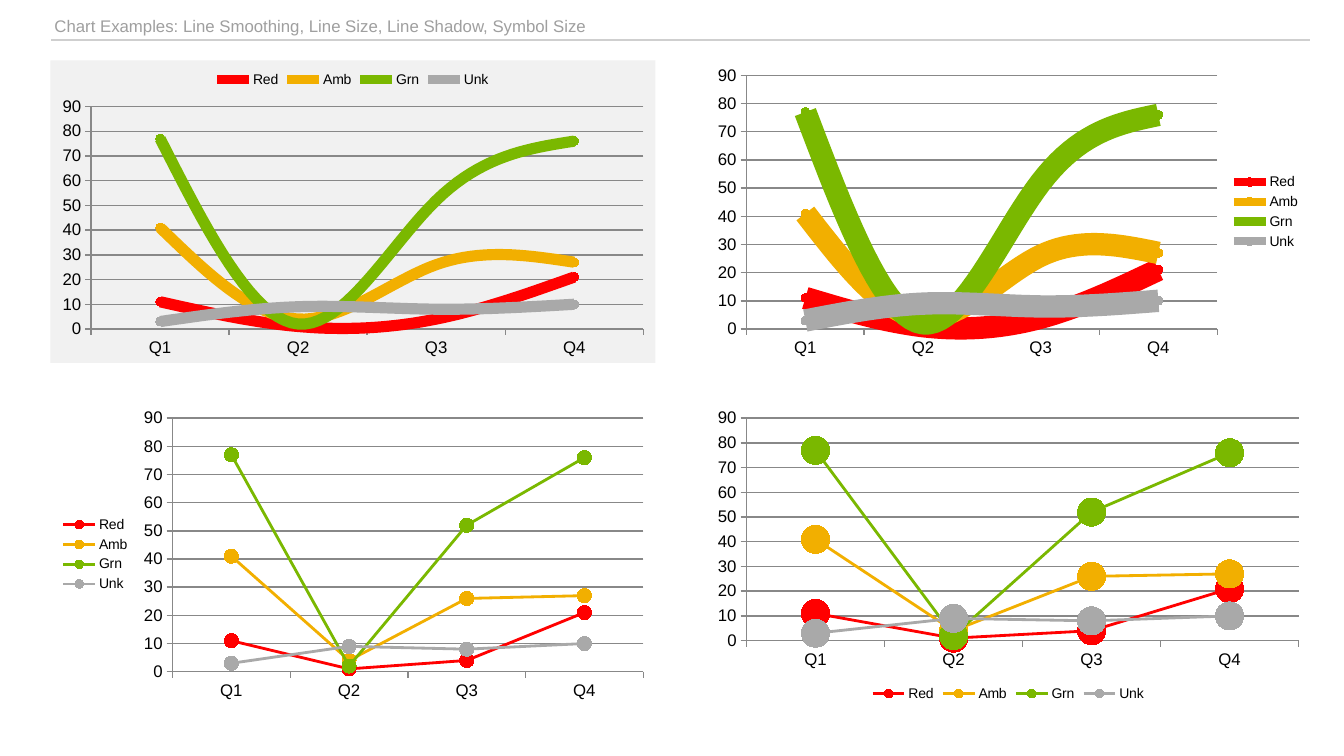
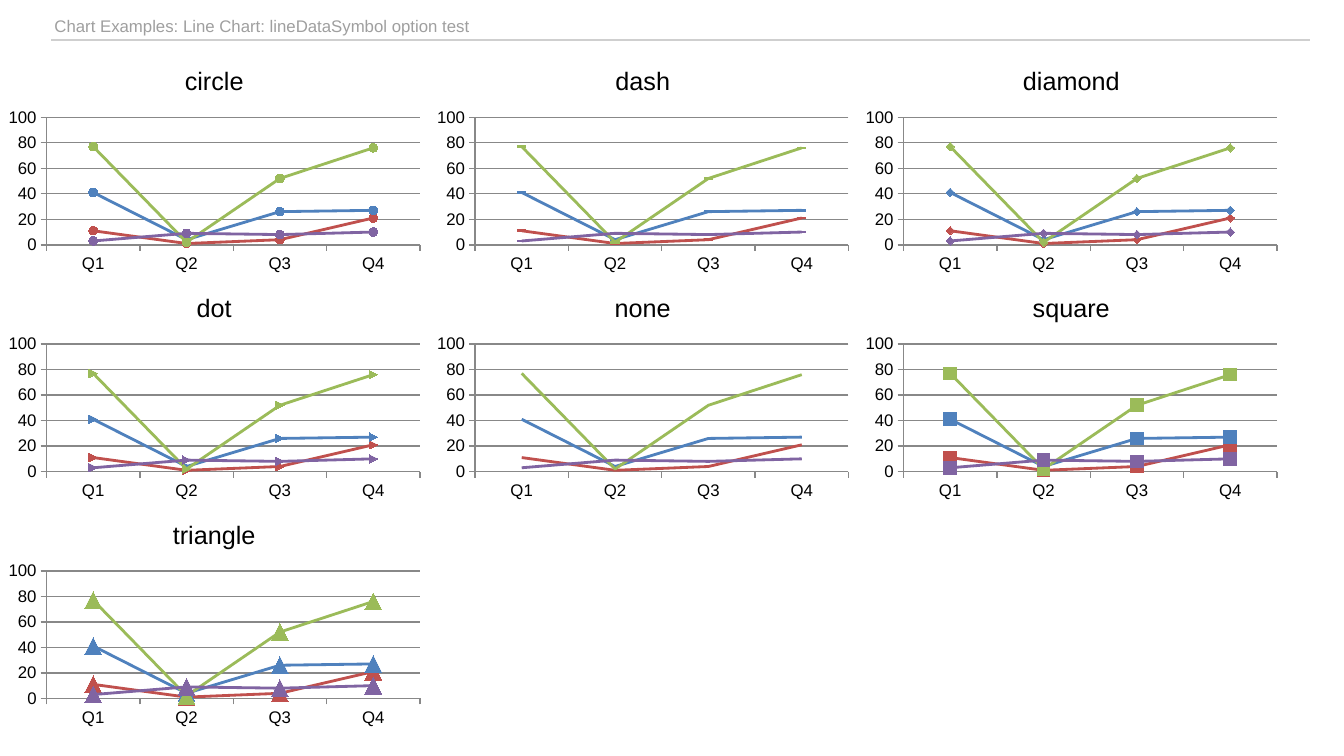
from dataclasses import dataclass

from lxml.etree import SubElement
from pptx import Presentation
from pptx.chart.data import CategoryChartData
from pptx.dml.color import RGBColor
from pptx.enum.chart import (
    XL_CHART_TYPE as ChartType,
    XL_LEGEND_POSITION as LegendPosition,
    XL_MARKER_STYLE as MarkerStyle,
    XL_TICK_LABEL_POSITION as LabelPosition,
    XL_TICK_MARK as TickMark,
)
from pptx.enum.shapes import MSO_SHAPE as Shape
from pptx.enum.text import MSO_ANCHOR as Anchor, PP_ALIGN as Align
from pptx.oxml.ns import qn
from pptx.util import Inches, Pt


@dataclass(frozen=True)
class Theme:
    font: str = "Arial"
    text: str = "000000"
    title: str = "9F9F9F"
    rule: str = "CFCFCF"
    panel: str = "F1F1F1"
    axis: str = "888888"
    status_colors: tuple = ("FF0000", "F2AF00", "7AB800", "A9A9A9")
    symbol_colors: tuple = ("C0504D", "4F81BD", "9BBB59", "8064A2")
    slide_title_size: int = 12
    chart_title_size: int = 18
    axis_size: int = 12
    legend_size: int = 10
    thin: int = 1


THEME = Theme()
SLIDE_SIZE = (13.33, 7.5)
TITLE_BOX = (0.5, 0.13, 12.5, 1)
TITLE_INSET = 0.04

QUARTERS = ("Q1", "Q2", "Q3", "Q4")
VALUES = ((11, 1, 4, 21), (41, 4, 26, 27), (77, 2, 52, 76), (3, 9, 8, 10))
STATUS_NAMES = ("Red", "Amb", "Grn", "Unk")
SYMBOL_NAMES = ("Series 1", "Series 2", "Series 3", "Series 4")

STYLE_TITLE = "Chart Examples: Line Smoothing, Line Size, Line Shadow, Symbol Size"
STYLE_CHARTS = (
    dict(legend=LegendPosition.TOP, line_width=8, smooth=True),
    dict(legend=LegendPosition.RIGHT, line_width=16, smooth=True),
    dict(legend=LegendPosition.LEFT, marker_size=10),
    dict(legend=LegendPosition.BOTTOM, marker_size=20),
)
STYLE_GRID = dict(columns=2, left=0.5, top=0.6, width=6, height=3, gap_x=0.5, gap_y=0.4)

SYMBOL_TITLE = "Chart Examples: Line Chart: lineDataSymbol option test"
SYMBOL_CHARTS = (
    dict(title="circle", marker=MarkerStyle.CIRCLE),
    dict(title="dash", marker=MarkerStyle.DASH),
    dict(title="diamond", marker=MarkerStyle.DIAMOND),
    dict(title="dot", marker=MarkerStyle.DOT),
    dict(title="none", marker=MarkerStyle.NONE, chart_type=ChartType.LINE),
    dict(title="square", marker=MarkerStyle.SQUARE, marker_size=9),
    dict(title="triangle", marker=MarkerStyle.TRIANGLE, marker_size=12),
)
SYMBOL_GRID = dict(columns=3, left=0, top=0.5, width=4.25, height=2.25, gap_x=0, gap_y=0)


def rgb(color):
    return RGBColor.from_string(color)


def inches(values):
    return [Inches(value) for value in values]


def style_font(font, size, color):
    font.name = THEME.font
    font.size = Pt(size)
    font.bold = False
    font.color.rgb = rgb(color)


def style_line(line, color, width):
    line.color.rgb = rgb(color)
    line.width = Pt(width)


def grid_cells(count, columns, left, top, width, height, gap_x, gap_y):
    for index in range(count):
        row, column = divmod(index, columns)
        yield (left + column * (width + gap_x), top + row * (height + gap_y), width, height)


def add_bottom_border(cell, color, width):
    properties = cell._tc.get_or_add_tcPr()
    border = SubElement(properties, qn("a:lnB"), w=str(Pt(width)))
    fill = SubElement(border, qn("a:solidFill"))
    SubElement(fill, qn("a:srgbClr"), val=color)
    properties.insert(0, border)


def add_titled_slide(presentation, title):
    slide = presentation.slides.add_slide(presentation.slide_layouts[6])
    frame = slide.shapes.add_table(1, 1, *inches(TITLE_BOX))
    table = frame.table
    table.first_row = table.horz_banding = False
    table.rows[0].height = 0
    frame.height = Inches(TITLE_BOX[3])

    cell = table.cell(0, 0)
    cell.text_frame.text = title
    cell.fill.background()
    cell.vertical_anchor = Anchor.TOP
    cell.margin_left = cell.margin_right = Inches(TITLE_INSET)
    cell.margin_top = cell.margin_bottom = Inches(TITLE_INSET)
    paragraph = cell.text_frame.paragraphs[0]
    paragraph.alignment = Align.LEFT
    style_font(paragraph.runs[0].font, THEME.slide_title_size, THEME.title)
    add_bottom_border(cell, THEME.rule, THEME.thin)
    return slide


def add_panel(slide, box):
    panel = slide.shapes.add_shape(Shape.RECTANGLE, *inches(box))
    panel.shadow.inherit = False
    panel.fill.solid()
    panel.fill.fore_color.rgb = rgb(THEME.panel)
    panel.line.fill.background()


def style_axes(chart, maximum, step):
    for axis in (chart.category_axis, chart.value_axis):
        style_font(axis.tick_labels.font, THEME.axis_size, THEME.text)
        style_line(axis.format.line, THEME.axis, THEME.thin)
        axis.major_tick_mark = TickMark.OUTSIDE
        axis.minor_tick_mark = TickMark.NONE
    chart.category_axis.tick_label_position = LabelPosition.LOW
    value_axis = chart.value_axis
    value_axis.minimum_scale = 0
    value_axis.maximum_scale = maximum
    value_axis.major_unit = step
    value_axis.has_major_gridlines = True
    style_line(value_axis.major_gridlines.format.line, THEME.axis, THEME.thin)


def add_line_chart(slide, box, names, colors, maximum, step, title=None, legend=None,
                   line_width=2, marker=MarkerStyle.CIRCLE, marker_size=6, smooth=False,
                   chart_type=ChartType.LINE_MARKERS):
    data = CategoryChartData()
    data.categories = QUARTERS
    for name, values in zip(names, VALUES):
        data.add_series(name, values)
    chart = slide.shapes.add_chart(chart_type, *inches(box), data).chart
    style_font(chart.font, THEME.legend_size, THEME.text)
    style_axes(chart, maximum, step)

    chart.has_title = title is not None
    if title is not None:
        frame = chart.chart_title.text_frame
        frame.text = title
        style_font(frame.paragraphs[0].runs[0].font, THEME.chart_title_size, THEME.text)
        chart.chart_title.include_in_layout = False

    chart.has_legend = legend is not None
    if legend is not None:
        chart.legend.position = legend
        chart.legend.include_in_layout = False
        style_font(chart.legend.font, THEME.legend_size, THEME.text)

    plot = chart.plots[0]
    plot.vary_by_categories = False
    for series, color in zip(plot.series, colors):
        series.smooth = smooth
        style_line(series.format.line, color, line_width)
        series.marker.style = marker
        if marker != MarkerStyle.NONE:
            series.marker.size = marker_size
            series.marker.format.fill.solid()
            series.marker.format.fill.fore_color.rgb = rgb(color)
            style_line(series.marker.format.line, color, THEME.thin)


def add_chart_grid(slide, charts, grid, **shared):
    for box, options in zip(grid_cells(len(charts), **grid), charts):
        add_line_chart(slide, box, **shared, **options)


def main():
    presentation = Presentation()
    presentation.slide_width, presentation.slide_height = inches(SLIDE_SIZE)

    style_slide = add_titled_slide(presentation, STYLE_TITLE)
    add_panel(style_slide, next(grid_cells(1, **STYLE_GRID)))
    add_chart_grid(style_slide, STYLE_CHARTS, STYLE_GRID, names=STATUS_NAMES,
                   colors=THEME.status_colors, maximum=90, step=10)

    symbol_slide = add_titled_slide(presentation, SYMBOL_TITLE)
    add_chart_grid(symbol_slide, SYMBOL_CHARTS, SYMBOL_GRID, names=SYMBOL_NAMES,
                   colors=THEME.symbol_colors, maximum=100, step=20)

    presentation.save("out.pptx")


if __name__ == "__main__":
    main()
